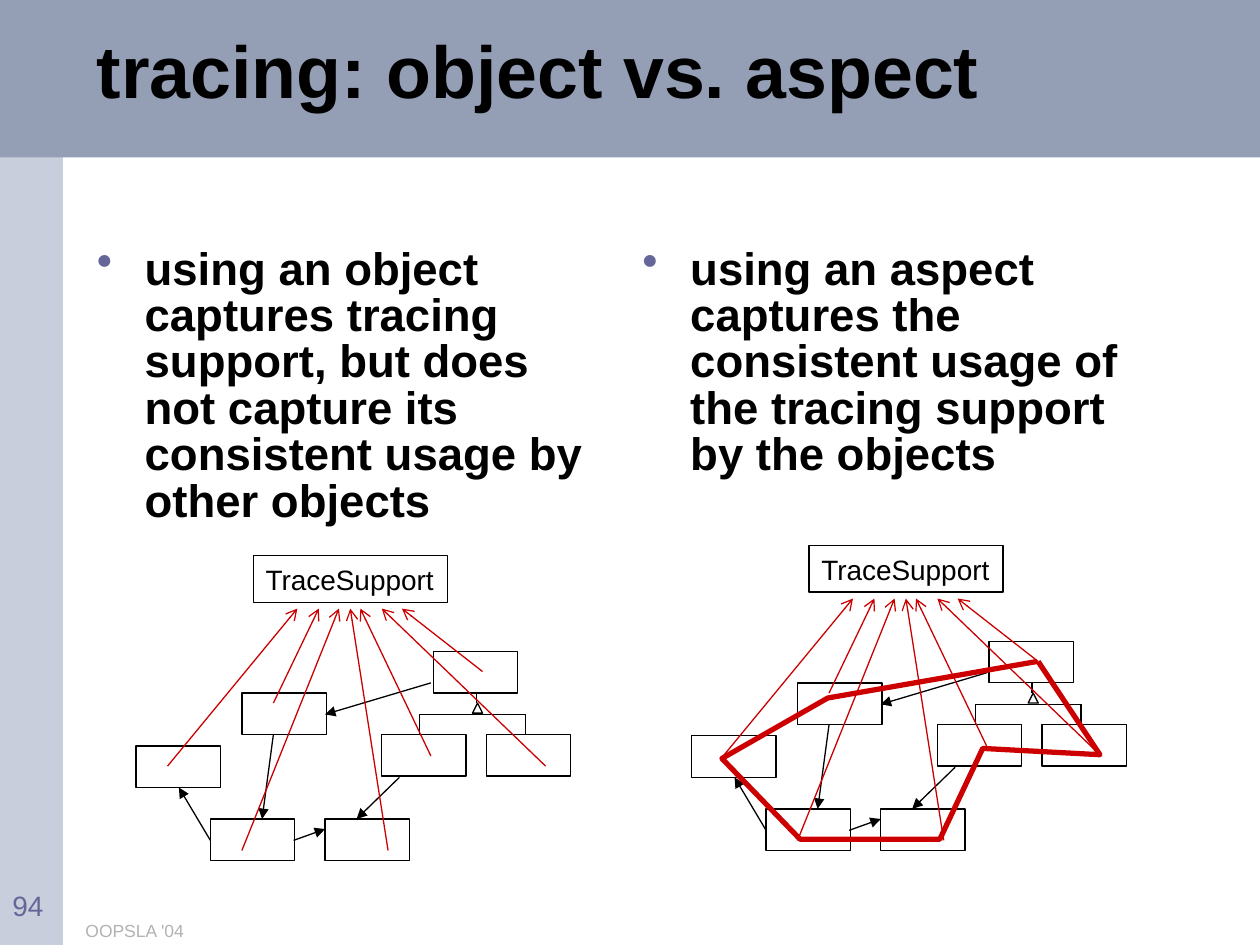
"""Build a slide comparing tracing with an object and with an aspect."""
from lxml import etree
from pptx import Presentation
from pptx import util as u
from pptx.dml.color import RGBColor
from pptx.enum import shapes, text
from pptx.oxml.ns import qn

BLACK = RGBColor(0x00, 0x00, 0x00)
RED = RGBColor(0xCC, 0x00, 0x00)
VIOLET = RGBColor(0x66, 0x66, 0x99)
GRAY = RGBColor(0xB2, 0xB2, 0xB2)
SIDE = RGBColor(0xC8, 0xCE, 0xDC)
HEADER = RGBColor(0x94, 0x9F, 0xB6)

BANDS = [((0, 0, 0.5, 7.5), SIDE), ((0, 0, 10, 1.25), HEADER)]
TITLE = "tracing: object vs. aspect"
POINTS = [
    (0.67, "using an object captures tracing support, but does not capture "
           "its consistent usage by other objects"),
    (5, "using an aspect captures the consistent usage of the tracing "
        "support by the objects"),
]
POINT_SIZE = 26
FOOTER = "OOPSLA '04"
PAGE = "94"

SUPPORT = "TraceSupport"
SUPPORT_BOX = (2.01, 4.41, 1.54, 0.37)
OBJECT_SIZE = (0.67, 0.33)
OBJECTS = [(1.92, 5.5), (1.08, 5.92), (2.58, 6.5), (1.67, 6.5),
           (3.03, 5.83), (3.86, 5.83), (3.44, 5.17)]
INHERITANCE_TIP = (3.75, 5.58, 0.08, 0.08)
INHERITANCE = [((3.33, 5.67), (4.17, 5.67)), ((3.33, 5.67), (3.33, 5.83)),
               ((4.17, 5.67), (4.17, 5.83)), ((3.78, 5.5), (3.78, 5.58))]
REFERENCES = [((3.42, 5.42), (2.58, 5.67)), ((2.17, 5.83), (2.08, 6.5)),
              ((2.33, 6.67), (2.58, 6.58)), ((1.67, 6.67), (1.42, 6.25)),
              ((3.17, 6.17), (2.83, 6.5))]
CALL_TOP = 4.83
CALLS = [((2.17, 5.58), 2.53), ((3.83, 5.33), 3.19), ((4.33, 6.08), 3.03),
         ((3.42, 6), 2.86), ((3.08, 6.75), 2.78), ((1.92, 6.75), 2.69),
         ((1.33, 6.08), 2.36)]
ASPECT = [(8.23, 5.25), (6.57, 5.54), (5.73, 6.02), (6.35, 6.66),
          (7.46, 6.66), (7.8, 5.94), (8.73, 5.99), (8.24, 5.25)]
DIAGRAMS = [((0, 0), []), ((4.41, -0.08), ASPECT)]


def inches(values):
    return [u.Inches(value) for value in values]


def moved(point, offset):
    return point[0] + offset[0], point[1] + offset[1]


def write(frame, words, size, color, bold=False, **paragraph_format):
    frame.word_wrap = True
    paragraph = frame.paragraphs[0]
    paragraph.text = words
    for name, value in paragraph_format.items():
        setattr(paragraph, name, value)
    font = paragraph.runs[0].font
    for name, value in {"name": "Arial", "size": u.Pt(size), "bold": bold}.items():
        setattr(font, name, value)
    font.color.rgb = color
    return paragraph


def add_text(slide, box, *content, **paragraph_format):
    frame = slide.shapes.add_textbox(*inches(box)).text_frame
    return frame, write(frame, *content, **paragraph_format)


def add_bullet(paragraph):
    properties = paragraph._p.get_or_add_pPr()
    properties.set("marL", str(u.Inches(0.38)))
    properties.set("indent", str(-u.Inches(0.38)))
    color = etree.SubElement(properties, qn("a:buClr"))
    etree.SubElement(color, qn("a:srgbClr"), val=str(VIOLET))
    etree.SubElement(properties, qn("a:buChar"), char="•")
    paragraph.font.size = u.Pt(POINT_SIZE)


def outline(shape, color=BLACK, width=0.75):
    shape.shadow.inherit = False
    shape.fill.background()
    shape.line.color.rgb = color
    shape.line.width = u.Pt(width)


def add_outlined(parent, kind, box, offset):
    place = (*moved(box[:2], offset), *box[2:])
    shape = parent.add_shape(kind, *inches(place))
    outline(shape)
    return shape


def add_line(parent, start, end, offset, color=BLACK, head=None):
    ends = (*moved(start, offset), *moved(end, offset))
    line = parent.add_connector(shapes.MSO_CONNECTOR.STRAIGHT, *inches(ends))
    line.line.color.rgb = color
    line.line.width = u.Pt(0.75)
    if head:
        etree.SubElement(line.line._get_or_add_ln(), qn("a:tailEnd"), type=head)
    etree.SubElement(line._element.spPr, qn("a:effectLst"))


def add_diagram(slide, offset, aspect):
    rectangle = shapes.MSO_SHAPE.RECTANGLE
    structure = slide.shapes.add_group_shape().shapes
    for corner in OBJECTS:
        add_outlined(structure, rectangle, corner + OBJECT_SIZE, offset)
    add_outlined(structure, shapes.MSO_SHAPE.ISOSCELES_TRIANGLE,
                 INHERITANCE_TIP, offset)
    for start, end in INHERITANCE:
        add_line(structure, start, end, offset)
    for start, end in REFERENCES:
        add_line(structure, start, end, offset, head="triangle")

    support = add_outlined(slide.shapes, rectangle, SUPPORT_BOX, offset)
    write(support.text_frame, SUPPORT, 16, BLACK, alignment=text.PP_ALIGN.LEFT)
    support.text_frame.word_wrap = False

    tracing = slide.shapes.add_group_shape().shapes
    if aspect:
        first, *rest = [inches(point) for point in aspect]
        loop = tracing.build_freeform(*first)
        loop.add_line_segments(rest, close=False)
        outline(loop.convert_to_shape(), RED, 3)
    for start, end_x in CALLS:
        add_line(tracing, start, (end_x, CALL_TOP), offset, RED, "arrow")


def main():
    deck = Presentation()
    deck.slide_width, deck.slide_height = inches((10, 7.5))
    slide = deck.slides.add_slide(deck.slide_layouts[6])
    for box, color in BANDS:
        band = slide.shapes.add_shape(shapes.MSO_SHAPE.RECTANGLE, *inches(box))
        band.shadow.inherit = False
        band.fill.solid()
        band.fill.fore_color.rgb = color
        band.line.fill.background()
    heading, _ = add_text(slide, (0.67, 0.08, 8.33, 1.05), TITLE, 42, BLACK,
                          True, line_spacing=0.85)
    heading.vertical_anchor = text.MSO_ANCHOR.MIDDLE
    for left, words in POINTS:
        _, point = add_text(slide, (left, 1.92, 4.17, 4.5), words, POINT_SIZE,
                            BLACK, True, line_spacing=0.85)
        add_bullet(point)
    for offset, aspect in DIAGRAMS:
        add_diagram(slide, offset, aspect)
    add_text(slide, (0.58, 7.25, 5.58, 0.25), FOOTER, 10, GRAY)
    add_text(slide, (0, 7, 0.67, 0.25), PAGE, 16, VIOLET)
    deck.save("out.pptx")


if __name__ == "__main__":
    main()
